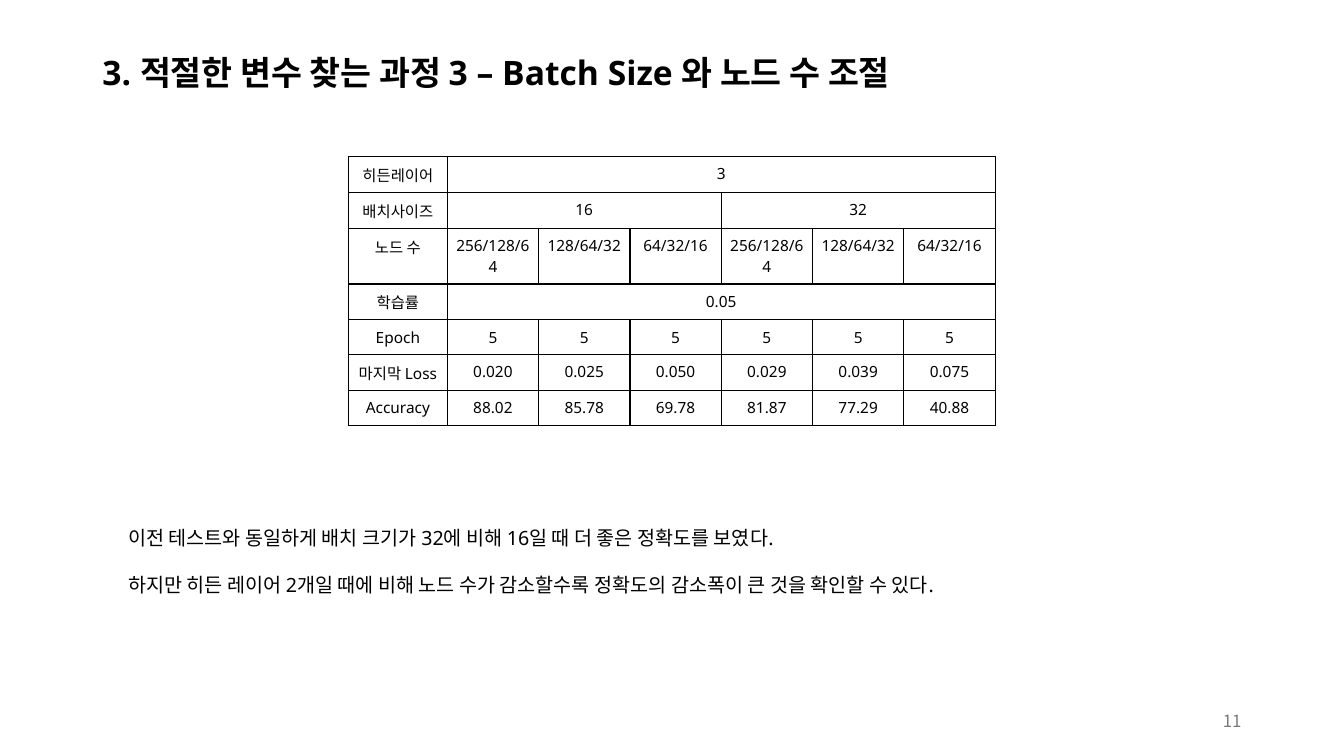
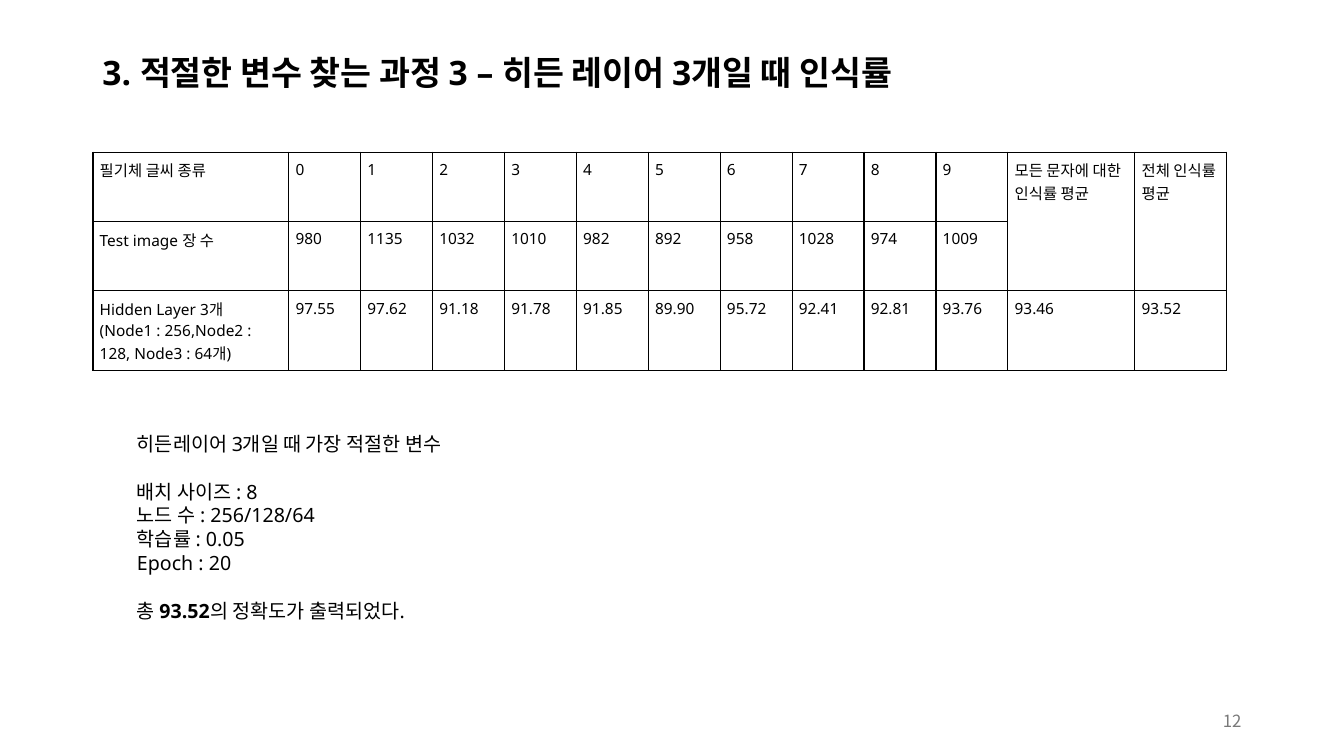
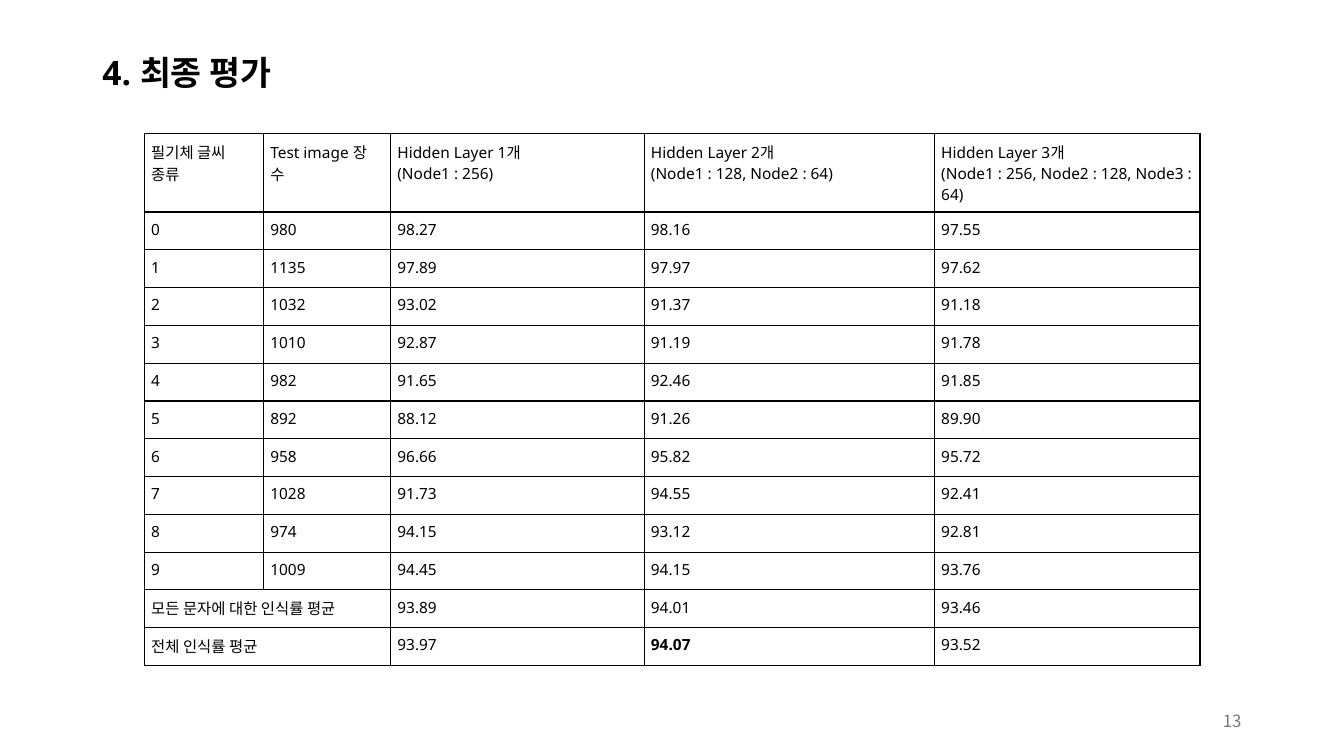
from dataclasses import dataclass
from itertools import chain

from lxml import etree
from pptx import Presentation
from pptx import util as u
from pptx.dml.color import RGBColor
from pptx.enum import shapes, text
from pptx.oxml import ns

EMU_PER_PX = 4762.5
LATIN, KOREAN = "Noto Sans", "Noto Sans CJK KR"
BLACK, WHITE, GREY = "000000", "FFFFFF", "797979"
LEFT, UP = "<", "^"
CELL_INSET = 13
BODY_LEADING = u.Pt(17)
FIRST_PAGE = 11


@dataclass(frozen=True)
class Box:
    left: int
    top: int
    width: int
    height: int


@dataclass(frozen=True)
class Grid:
    left: int
    top: int
    columns: list[int]
    rows: list[int]
    cells: list[list[str]]
    align: text.PP_ALIGN = text.PP_ALIGN.LEFT


@dataclass(frozen=True)
class Note:
    box: Box
    blocks: list[str]


@dataclass(frozen=True)
class Page:
    title: str
    grid: Grid
    note: Note | None = None


TITLE_BOX = Box(176, 77, 2208, 132)
NUMBER_BOX = Box(1808, 1334, 576, 77)


def px(length: float) -> u.Emu:
    return u.Emu(round(length * EMU_PER_PX))


def color(value: str) -> RGBColor:
    return RGBColor.from_string(value)


def place(box: Box) -> tuple[u.Emu, u.Emu, u.Emu, u.Emu]:
    return px(box.left), px(box.top), px(box.width), px(box.height)


def write(paragraph, content: str, *, size: int, font: str = LATIN, ink: str = BLACK,
          bold: bool = False, align=text.PP_ALIGN.LEFT, leading=None, before: int = 0) -> None:
    paragraph.alignment = align
    paragraph.space_before = before
    if leading is not None:
        paragraph.line_spacing = leading
    for index, part in enumerate(content.split("*")):
        if not part:
            continue
        span = paragraph.add_run()
        span.text = part
        span.font.size = u.Pt(size)
        span.font.bold = bold or index % 2 == 1
        span.font.color.rgb = color(ink)
        span.font.name = font
        east_asian = etree.SubElement(span.font._element, ns.qn("a:ea"))
        east_asian.set("typeface", KOREAN)


def next_paragraph(frame, index: int):
    return frame.paragraphs[0] if index == 0 else frame.add_paragraph()


def set_frame(frame) -> None:
    frame.word_wrap = True
    frame.auto_size = text.MSO_AUTO_SIZE.NONE
    frame.vertical_anchor = text.MSO_ANCHOR.MIDDLE


def draw_title(slide, content: str) -> None:
    title = slide.shapes.title
    title.left, title.top, title.width, title.height = place(TITLE_BOX)
    set_frame(title.text_frame)
    write(title.text_frame.paragraphs[0], content, size=24, bold=True, leading=0.9)


def draw_number(slide, number: int) -> None:
    frame = slide.shapes.add_textbox(*place(NUMBER_BOX)).text_frame
    set_frame(frame)
    write(frame.paragraphs[0], str(number), size=12, font=KOREAN, ink=GREY,
          align=text.PP_ALIGN.RIGHT)


def draw_note(slide, note: Note) -> None:
    panel = slide.shapes.add_shape(shapes.MSO_SHAPE.RECTANGLE, *place(note.box))
    panel.shadow.inherit = False
    panel.fill.solid()
    panel.fill.fore_color.rgb = color(WHITE)
    panel.line.fill.background()
    set_frame(panel.text_frame)
    lines = chain.from_iterable(enumerate(block.split("\n")) for block in note.blocks)
    for index, (row, line) in enumerate(lines):
        gap = BODY_LEADING if index and row == 0 else 0
        write(next_paragraph(panel.text_frame, index), line, size=14,
              leading=BODY_LEADING, before=gap)


def outline(cell) -> None:
    properties = cell._tc.get_or_add_tcPr()
    for index, side in enumerate("LRTB"):
        line = etree.Element(ns.qn(f"a:ln{side}"), w=str(u.Pt(1)))
        fill = etree.SubElement(line, ns.qn("a:solidFill"))
        etree.SubElement(fill, ns.qn("a:srgbClr"), val=BLACK)
        properties.insert(index, line)


def span_end(cells: list[list[str]], row: int, column: int) -> tuple[int, int]:
    last_row, last_column = row, column
    while last_column + 1 < len(cells[row]) and cells[row][last_column + 1] == LEFT:
        last_column += 1
    while last_row + 1 < len(cells) and cells[last_row + 1][column] == UP:
        last_row += 1
    return last_row, last_column


def draw_grid(slide, grid: Grid) -> None:
    box = Box(grid.left, grid.top, sum(grid.columns), sum(grid.rows))
    table = slide.shapes.add_table(len(grid.rows), len(grid.columns), *place(box)).table
    table.first_row = table.horz_banding = False
    for column, width in zip(table.columns, grid.columns):
        column.width = px(width)
    for row, height in zip(table.rows, grid.rows):
        row.height = px(height)
    for i, values in enumerate(grid.cells):
        for j, value in enumerate(values):
            cell = table.cell(i, j)
            cell.fill.background()
            outline(cell)
            cell.margin_left = cell.margin_right = px(CELL_INSET)
            cell.margin_top = cell.margin_bottom = px(CELL_INSET)
            if value in (LEFT, UP):
                continue
            end = span_end(grid.cells, i, j)
            if end != (i, j):
                cell.merge(table.cell(*end))
            for index, line in enumerate(value.split("\n")):
                write(next_paragraph(cell.text_frame, index), line, size=11, align=grid.align)


DIGITS = list("0123456789")
COUNTS = "980 1135 1032 1010 982 892 958 1028 974 1009".split()
ONE_LAYER = "98.27 97.89 93.02 92.87 91.65 88.12 96.66 91.73 94.15 94.45".split()
TWO_LAYERS = "98.16 97.97 91.37 91.19 92.46 91.26 95.82 94.55 93.12 94.15".split()
THREE_LAYERS = "97.55 97.62 91.18 91.78 91.85 89.90 95.72 92.41 92.81 93.76".split()
KIND, IMAGES = "필기체 글씨 종류", "Test image 장 수"
LETTER_MEAN, TOTAL_MEAN = "모든 문자에 대한 인식률 평균", "전체 인식률 평균"
NODES = ["256/128/64", "128/64/32", "64/32/16"]

BATCH_GRID = Grid(664, 298, [188] + [174] * 6, [61] * 7, [
    ["히든레이어", "3"] + [LEFT] * 5,
    ["배치사이즈", "16", LEFT, LEFT, "32", LEFT, LEFT],
    ["노드 수"] + NODES * 2,
    ["학습률", "0.05"] + [LEFT] * 5,
    ["Epoch"] + ["5"] * 6,
    ["마지막 Loss"] + "0.020 0.025 0.050 0.029 0.039 0.075".split(),
    ["Accuracy"] + "88.02 85.78 69.78 81.87 77.29 40.88".split(),
], text.PP_ALIGN.CENTER)

LAYER_GRID = Grid(177, 290, [373] + [137] * 10 + [242, 174], [132] * 3, [
    [KIND, *DIGITS, LETTER_MEAN, TOTAL_MEAN],
    [IMAGES, *COUNTS, UP, UP],
    ["Hidden Layer 3개\n(Node1 : 256,Node2 : 128, Node3 : 64개)", *THREE_LAYERS, "93.46", "93.52"],
])

FINAL_GRID = Grid(275, 254, [227, 242, 483, 553, 506], [150] + [72] * 12, [
    [KIND, IMAGES, "Hidden Layer 1개\n(Node1 : 256)",
     "Hidden Layer 2개\n(Node1 : 128, Node2 : 64)",
     "Hidden Layer 3개\n(Node1 : 256, Node2 : 128, Node3 : 64)"],
    *map(list, zip(DIGITS, COUNTS, ONE_LAYER, TWO_LAYERS, THREE_LAYERS)),
    [LETTER_MEAN, LEFT, "93.89", "94.01", "93.46"],
    [TOTAL_MEAN, LEFT, "93.97", "*94.07*", "93.52"],
])

PAGES = [
    Page("3. 적절한 변수 찾는 과정 3 – Batch Size 와 노드 수 조절", BATCH_GRID,
         Note(Box(225, 891, 2077, 355), [
             "이전 테스트와 동일하게 배치 크기가 32에 비해 16일 때 더 좋은 정확도를 보였다.",
             "하지만 히든 레이어 2개일 때에 비해 노드 수가 감소할수록 정확도의 감소폭이 큰 것을 확인할 수 있다.",
         ])),
    Page("3. 적절한 변수 찾는 과정 3 – 히든 레이어 3개일 때 인식률", LAYER_GRID,
         Note(Box(242, 795, 2077, 417), [
             "히든레이어 3개일 때 가장 적절한 변수",
             "배치 사이즈 : 8\n노드 수 : 256/128/64\n학습률 : 0.05\nEpoch : 20",
             "총 *93.52*의 정확도가 출력되었다.",
         ])),
    Page("4. 최종 평가", FINAL_GRID),
]


def main() -> None:
    deck = Presentation()
    deck.slide_width, deck.slide_height = px(2560), px(1440)
    title_only = deck.slide_layouts[5]
    for number, page in enumerate(PAGES, FIRST_PAGE):
        slide = deck.slides.add_slide(title_only)
        draw_title(slide, page.title)
        draw_number(slide, number)
        if page.note:
            draw_note(slide, page.note)
        draw_grid(slide, page.grid)
    deck.save("out.pptx")


if __name__ == "__main__":
    main()
